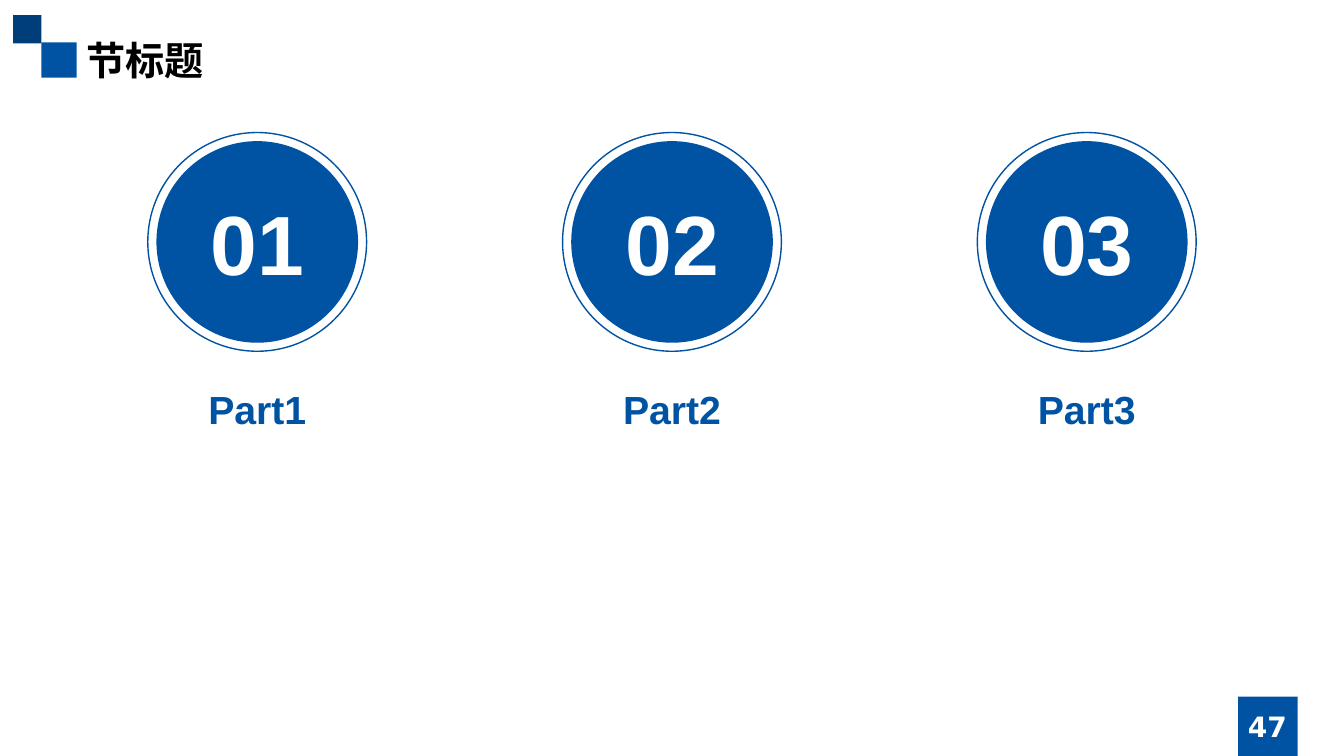
from dataclasses import dataclass
from typing import Any, Optional

import lxml.etree
import pptx
import pptx.dml.color
import pptx.enum.shapes
import pptx.enum.text
import pptx.oxml.ns
import pptx.util

BLUE = pptx.dml.color.RGBColor(0x00, 0x53, 0xA3)
NAVY = pptx.dml.color.RGBColor(0x00, 0x3E, 0x7A)
WHITE = pptx.dml.color.RGBColor(0xFF, 0xFF, 0xFF)
BLACK = pptx.dml.color.RGBColor(0x00, 0x00, 0x00)

SLIDE_WIDTH = pptx.util.Inches(13.33)
SLIDE_HEIGHT = pptx.util.Inches(7.5)
RECTANGLE = pptx.enum.shapes.MSO_SHAPE.RECTANGLE
OVAL = pptx.enum.shapes.MSO_SHAPE.OVAL
LEFT = pptx.enum.text.PP_ALIGN.LEFT
CENTER = pptx.enum.text.PP_ALIGN.CENTER
TOP = pptx.enum.text.MSO_ANCHOR.TOP
MIDDLE = pptx.enum.text.MSO_ANCHOR.MIDDLE

# Section columns, in percent of the slide
SECTION_STEP = 30.86
DISC_MIDDLE = 32
DISC_SIZE = 15
RING_SIZE = 16.28
LABEL_TOP = 50.27
LABEL_WIDTH = 22


@dataclass(frozen=True)
class Area:
    """A box in percent of the slide's width and height."""
    left: float
    top: float
    width: float
    height: float

    def lengths(self) -> tuple[int, ...]:
        return (round(SLIDE_WIDTH * self.left / 100), round(SLIDE_HEIGHT * self.top / 100),
                round(SLIDE_WIDTH * self.width / 100), round(SLIDE_HEIGHT * self.height / 100))


@dataclass(frozen=True)
class Lettering:
    size: int
    face: str
    color: pptx.dml.color.RGBColor
    align: Any = CENTER
    anchor: Any = TOP


@dataclass(frozen=True)
class Section:
    number: str
    label: str


TITLE = Lettering(28, "Noto Sans CJK SC", BLACK, align=LEFT)
PAGE = Lettering(20, "DejaVu Sans", WHITE, anchor=MIDDLE)
NUMBER = Lettering(60, "Arial", WHITE, anchor=MIDDLE)
LABEL = Lettering(28, "Arial", BLUE)

SQUARES = [
    (Area(3.08, 5.6, 2.63, 4.67), BLUE),
    (Area(0.98, 2, 2.1, 3.73), NAVY),
    (Area(92.12, 92.13, 4.43, 7.87), BLUE),
]
SECTIONS = [Section("01", "Part1"), Section("02", "Part2"), Section("03", "Part3")]


def write(shape: Any, words: str, style: Lettering) -> None:
    frame = shape.text_frame
    for name, value in {"word_wrap": True, "vertical_anchor": style.anchor}.items():
        setattr(frame, name, value)
    paragraph = frame.paragraphs[0]
    paragraph.alignment = style.align
    run = paragraph.add_run()
    run.text = words
    font_format = {"size": pptx.util.Pt(style.size), "name": style.face, "bold": True}
    for name, value in font_format.items():
        setattr(run.font, name, value)
    run.font.color.rgb = style.color
    # East Asian letters take their typeface from a:ea
    east_asian = lxml.etree.SubElement(run.font._element, pptx.oxml.ns.qn("a:ea"))
    east_asian.set("typeface", style.face)


def add_text(shapes: Any, area: Area, words: str, style: Lettering) -> None:
    write(shapes.add_textbox(*area.lengths()), words, style)


def add_figure(shapes: Any, kind: Any, area: Area,
               fill: Optional[pptx.dml.color.RGBColor] = None) -> Any:
    """A filled shape without outline, or a thin blue outline without fill."""
    figure = shapes.add_shape(kind, *area.lengths())
    figure.shadow.inherit = False
    if fill is None:
        figure.fill.background()
        figure.line.color.rgb = BLUE
        figure.line.width = pptx.util.Pt(1)
    else:
        figure.fill.solid()
        figure.fill.fore_color.rgb = fill
        figure.line.fill.background()
    return figure


def round_area(center: float, size: float) -> Area:
    height = size * SLIDE_WIDTH / SLIDE_HEIGHT
    return Area(center - size / 2, DISC_MIDDLE - height / 2, size, height)


def add_section(shapes: Any, section: Section, center: float) -> None:
    badge = shapes.add_group_shape().shapes
    disc = add_figure(badge, OVAL, round_area(center, DISC_SIZE), BLUE)
    write(disc, section.number, NUMBER)
    add_figure(badge, OVAL, round_area(center, RING_SIZE))
    label_area = Area(center - LABEL_WIDTH / 2, LABEL_TOP, LABEL_WIDTH, 7.6)
    add_text(shapes, label_area, section.label, LABEL)


def main() -> None:
    deck = pptx.Presentation()
    for name, value in {"slide_width": SLIDE_WIDTH, "slide_height": SLIDE_HEIGHT}.items():
        setattr(deck, name, value)
    shapes = deck.slides.add_slide(deck.slide_layouts[6]).shapes

    # Corner squares, title and page number
    for area, color in SQUARES:
        add_figure(shapes, RECTANGLE, area, color)
    add_text(shapes, Area(5.7, 4.13, 88.6, 7.6), "节标题", TITLE)
    add_text(shapes, Area(88.6, 93.47, 11.4, 5.33), "47", PAGE)

    # Numbered sections, spread evenly around the middle
    for index, section in enumerate(SECTIONS):
        add_section(shapes, section, 50 + (index - 1) * SECTION_STEP)

    deck.save("out.pptx")


if __name__ == "__main__":
    main()
